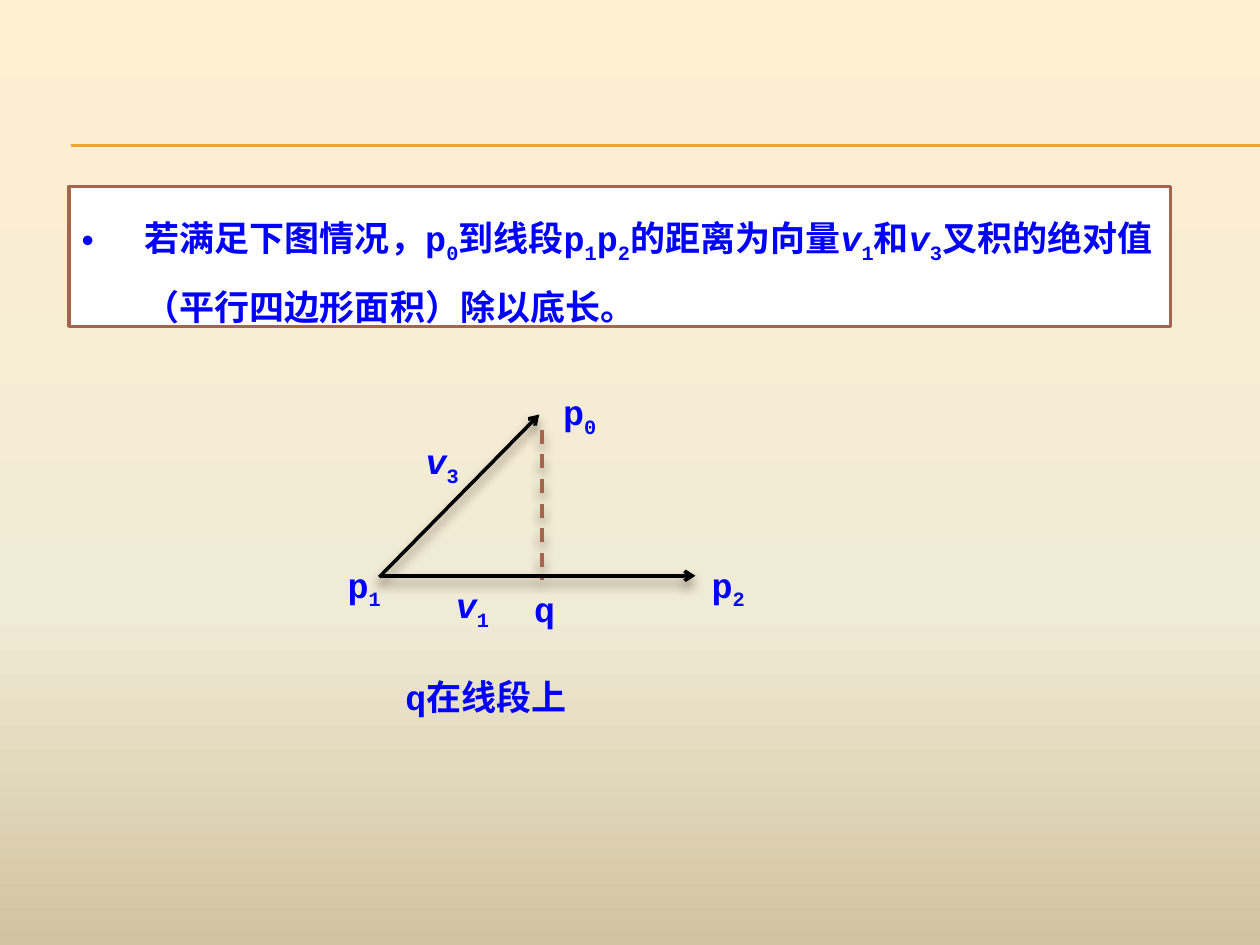
import dataclasses

import pptx
import pptx.dml.color
import pptx.enum.dml
import pptx.enum.shapes
import pptx.enum.text
import pptx.oxml
import pptx.oxml.ns
import pptx.util
from pptx.util import Inches

BLUE, BROWN, BLACK, ORANGE = "0000FF", "A5644E", "000000", "F0A22E"
A_NS = pptx.oxml.ns.nsdecls("a")


@dataclasses.dataclass(frozen=True)
class Run:
    text: str
    italic: bool = False
    subscript: bool = False


@dataclasses.dataclass(frozen=True)
class Label:
    left: float
    top: float
    width: float
    runs: tuple[Run, ...]


@dataclasses.dataclass(frozen=True)
class Segment:
    start: tuple[float, float]
    end: tuple[float, float]
    color: str
    width: float = 2
    arrow: bool = False
    dashed: bool = False
    shadow: bool = True


def rgb(value: str) -> pptx.dml.color.RGBColor:
    return pptx.dml.color.RGBColor.from_string(value)


def symbol(letter: str, index: str, italic: bool = False) -> tuple[Run, ...]:
    return Run(letter, italic), Run(index, subscript=True)


def add_runs(paragraph, runs: tuple[Run, ...]) -> None:
    for item in runs:
        run = paragraph.add_run()
        run.text = item.text
        run.font.name = "Courier New"
        run.font.size = pptx.util.Pt(20)
        run.font.bold = True
        run.font.italic = item.italic
        run.font.color.rgb = rgb(BLUE)
        if item.subscript:
            run.font._element.set("baseline", "-25000")


def add_segment(shapes, segment: Segment) -> None:
    line = shapes.add_connector(
        pptx.enum.shapes.MSO_CONNECTOR.STRAIGHT,
        *(Inches(value) for value in segment.start + segment.end))
    line.line.color.rgb = rgb(segment.color)
    line.line.width = pptx.util.Pt(segment.width)
    if segment.dashed:
        line.line.dash_style = pptx.enum.dml.MSO_LINE.DASH
    if segment.arrow:
        line.line._get_or_add_ln().append(
            pptx.oxml.parse_xml(f'<a:tailEnd {A_NS} type="arrow"/>'))
    shadow = (
        '<a:outerShdw blurRad="76200" dist="50800" dir="5400000" rotWithShape="0">'
        '<a:srgbClr val="4E3B30"><a:alpha val="60000"/></a:srgbClr></a:outerShdw>'
    ) if segment.shadow else ""
    line._element.spPr.append(
        pptx.oxml.parse_xml(f"<a:effectLst {A_NS}>{shadow}</a:effectLst>"))


def add_label(shapes, label: Label) -> None:
    box = shapes.add_textbox(Inches(label.left), Inches(label.top),
                             Inches(label.width), Inches(0.44))
    box.text_frame.word_wrap = True
    box.text_frame.auto_size = pptx.enum.text.MSO_AUTO_SIZE.SHAPE_TO_FIT_TEXT
    add_runs(box.text_frame.paragraphs[0], label.runs)


def set_background(slide, stops: tuple[tuple[int, str], ...]) -> None:
    fill = slide.background.fill
    fill.gradient()
    fill.gradient_angle = 270
    stop_list = slide.element.find(".//" + pptx.oxml.ns.qn("a:gsLst"))
    for stop in list(stop_list):
        stop_list.remove(stop)
    for percent, color in stops:
        stop_list.append(pptx.oxml.parse_xml(
            f'<a:gs {A_NS} pos="{percent * 1000}"><a:srgbClr val="{color}"/></a:gs>'))


def add_statement(shapes, runs: tuple[Run, ...]) -> None:
    statement = shapes.add_shape(pptx.enum.shapes.MSO_SHAPE.RECTANGLE, Inches(0.55),
                                 Inches(1.48), Inches(8.74), Inches(1.11))
    statement.shadow.inherit = False
    statement.fill.solid()
    statement.fill.fore_color.rgb = rgb("FFFFFF")
    statement.line.color.rgb = rgb(BROWN)
    statement.line.width = pptx.util.Pt(2)
    frame = statement.text_frame
    frame.word_wrap = True
    frame.auto_size = pptx.enum.text.MSO_AUTO_SIZE.SHAPE_TO_FIT_TEXT
    frame.vertical_anchor = pptx.enum.text.MSO_ANCHOR.TOP
    paragraph = frame.paragraphs[0]
    paragraph.alignment = pptx.enum.text.PP_ALIGN.LEFT
    paragraph.line_spacing = 1.5
    # Spacing in percent, hanging indent and bullet
    properties = paragraph._element.get_or_add_pPr()
    properties.set("marL", str(Inches(0.5)))
    properties.set("indent", str(Inches(-0.5)))
    for xml in (f'<a:spcBef {A_NS}><a:spcPct val="50000"/></a:spcBef>',
                f'<a:buClr {A_NS}><a:srgbClr val="{BLUE}"/></a:buClr>',
                f'<a:buFont {A_NS} typeface="Arial"/>',
                f'<a:buChar {A_NS} char="•"/>'):
        properties.append(pptx.oxml.parse_xml(xml))
    add_runs(paragraph, runs)


STATEMENT = (
    Run("若满足下图情况，"), *symbol("p", "0"), Run("到线段"), *symbol("p", "1"),
    *symbol("p", "2"), Run("的距离为向量"), *symbol("v", "1", italic=True), Run("和"),
    *symbol("v", "3", italic=True), Run("叉积的绝对值（平行四边形面积）除以底长。"),
)
HEADER_RULES = tuple(
    Segment((0.56, y), (10, y), ORANGE, width=0.75, shadow=False) for y in (1.15, 1.16))
VECTORS = (
    Segment((3.01, 4.58), (4.28, 3.29), BLACK, arrow=True),
    Segment((3.02, 4.57), (5.52, 4.57), BLACK, arrow=True),
    Segment((4.3, 3.41), (4.3, 4.6), BROWN, dashed=True),
)
LABELS = (
    Label(2.66, 4.42, 0.55, symbol("p", "1")),
    Label(5.55, 4.42, 0.55, symbol("p", "2")),
    Label(4.37, 3.05, 0.55, symbol("p", "0")),
    Label(3.28, 3.44, 0.47, symbol("v", "3", italic=True)),
    Label(3.52, 4.58, 0.47, symbol("v", "1", italic=True)),
    Label(4.14, 4.61, 0.39, (Run("q"),)),
    Label(3.12, 5.31, 1.64, (Run("q在线段上"),)),
)


def main() -> None:
    deck = pptx.Presentation()
    deck.slide_width, deck.slide_height = Inches(10), Inches(7.5)
    slide = deck.slides.add_slide(deck.slide_layouts[6])
    set_background(slide, ((0, "FFEFD1"), (65, "F0EBD5"), (100, "D1C39F")))

    # Header rules and statement
    for rule in HEADER_RULES:
        add_segment(slide.shapes, rule)
    add_statement(slide.shapes, STATEMENT)

    # Vector diagram
    diagram = slide.shapes.add_group_shape()
    for vector in VECTORS:
        add_segment(diagram.shapes, vector)
    for label in LABELS:
        add_label(diagram.shapes, label)

    deck.save("out.pptx")


if __name__ == "__main__":
    main()
